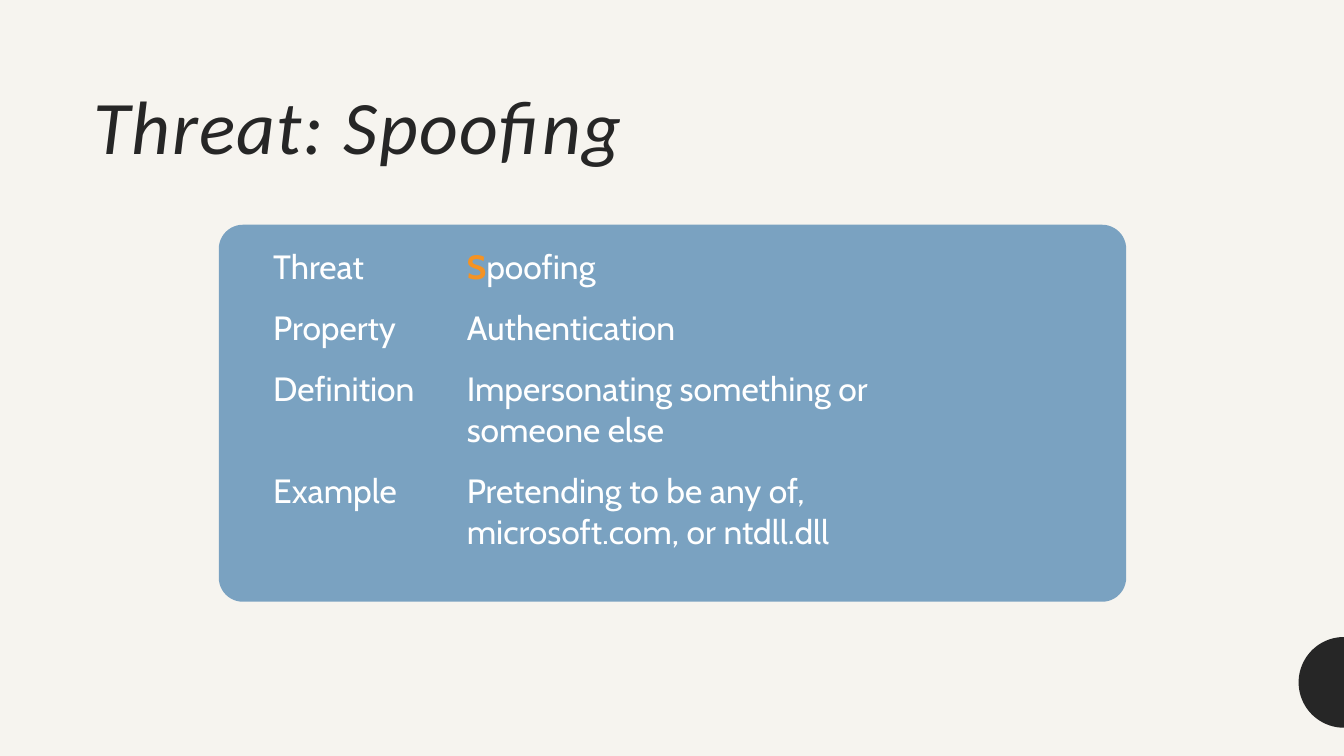
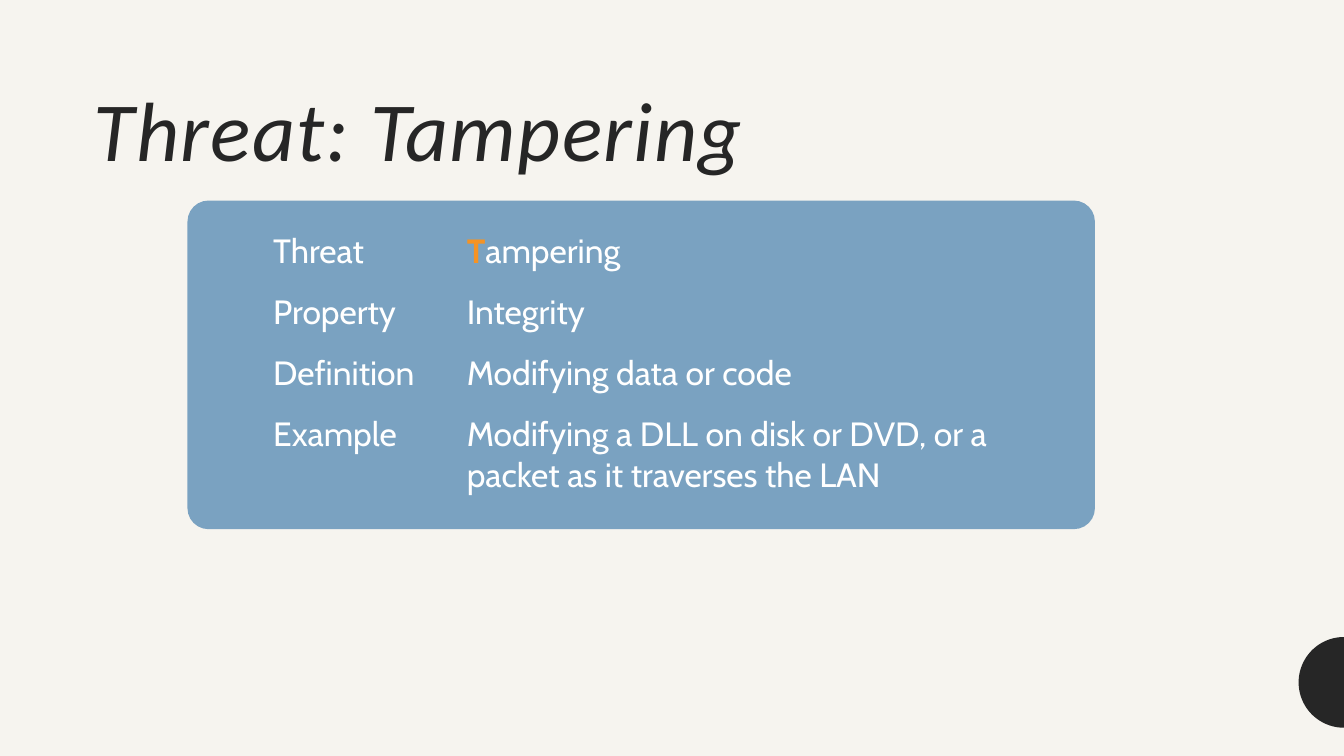
import math
from dataclasses import dataclass

from lxml import etree
from pptx import Presentation
from pptx.dml.color import RGBColor
from pptx.enum.shapes import MSO_SHAPE
from pptx.enum.text import MSO_ANCHOR, MSO_AUTO_SIZE, PP_ALIGN
from pptx.oxml.ns import qn
from pptx.util import Inches, Pt

ROUNDED = MSO_SHAPE.ROUNDED_RECTANGLE
TOP = MSO_ANCHOR.TOP
LEFT = PP_ALIGN.LEFT
NO_AUTOFIT = MSO_AUTO_SIZE.NONE
PLAIN_TABLE_STYLE = "{2D5ABB26-0587-4C30-8999-92F81FD0307C}"


@dataclass(frozen=True)
class Theme:
    paper: RGBColor = RGBColor(0xF6, 0xF4, 0xEF)
    ink: RGBColor = RGBColor(0x26, 0x26, 0x26)
    panel: RGBColor = RGBColor(0x00, 0x51, 0x94)
    panel_opacity: int = 50
    panel_text: RGBColor = RGBColor(0xFF, 0xFF, 0xFF)
    initial: RGBColor = RGBColor(0xF5, 0x93, 0x24)
    title_font: str = "Calibri"
    body_font: str = "Cabin"
    title_tracking: int = 100
    body_size: int = 24


THEME = Theme()
SLIDE_SIZE = (13.33, 7.5)
TITLE_CORNER = (0.83, 0.83)
TABLE_LEFT = 2.61
LABEL_WIDTH = 1.92
CELL_MARGIN = 0.1
PANEL_SIZE_RATIO = 0.064
DISC_CENTRE_Y, DISC_RADIUS, DISC_STEPS = 6.77, 0.45, 48
LABELS = ("Threat", "Property", "Definition", "Example")

THREATS = [
    {
        "answers": ("Spoofing", "Authentication",
                    "Impersonating something or someone else",
                    "Pretending to be any of, microsoft.com, or ntdll.dll"),
        "title_size": 54,
        "title_box": (8.76, 0.93),
        "panel": (2.17, 2.23, 9, 3.74),
        "table_top": 2.35,
        "answer_width": 5.52,
        "rows": (0.44, 0.44, 0.79, 1.03),
    },
    {
        "answers": ("Tampering", "Integrity", "Modifying data or code",
                    "Modifying a DLL on disk or DVD, or a packet as it traverses the LAN"),
        "title_size": 60,
        "title_box": (7.56, 1.84),
        "panel": (1.86, 1.99, 9, 3.26),
        "table_top": 2.19,
        "answer_width": 5.57,
        "rows": (0.43, 0.43, 0.43, 1.06),
    },
]


def add_run(paragraph, text, font, size, color, bold=False, italic=False):
    run = paragraph.add_run()
    run.text = text
    run.font.name = font
    run.font.size = Pt(size)
    run.font.color.rgb = color
    run.font.bold = bold
    run.font.italic = italic
    return run


def set_fill(shape, color):
    shape.shadow.inherit = False
    shape.fill.solid()
    shape.fill.fore_color.rgb = color
    shape.line.fill.background()


def decorate_master(master, slide):
    """Set the background and draw the half disc, then move it to the master."""
    master.background.fill.solid()
    master.background.fill.fore_color.rgb = THEME.paper
    edge = SLIDE_SIZE[0]
    arc = [(Inches(edge - DISC_RADIUS * math.sin(angle)),
            Inches(DISC_CENTRE_Y - DISC_RADIUS * math.cos(angle)))
           for angle in (math.pi * step / DISC_STEPS for step in range(DISC_STEPS + 1))]
    outline = slide.shapes.build_freeform(*arc[0])
    outline.add_line_segments(arc[1:], close=True)
    disc = outline.convert_to_shape()
    set_fill(disc, THEME.ink)
    master.shapes.element.append(disc.element)


def write_title(slide, threat):
    title = slide.shapes.title
    title.left, title.top = map(Inches, TITLE_CORNER)
    title.width, title.height = map(Inches, threat["title_box"])
    frame = title.text_frame
    frame.word_wrap = True
    frame.auto_size = NO_AUTOFIT
    frame.vertical_anchor = TOP
    heading = frame.paragraphs[0]
    heading.alignment = LEFT
    heading.line_spacing = 0.9
    run = add_run(heading, f"Threat: {threat['answers'][0]}", THEME.title_font,
                  threat["title_size"], THEME.ink, italic=True)
    run.font._element.set("spc", str(THEME.title_tracking))


def add_panel(slide, threat):
    panel = slide.shapes.add_shape(ROUNDED, *map(Inches, threat["panel"]))
    panel.adjustments[0] = PANEL_SIZE_RATIO
    set_fill(panel, THEME.panel)
    color = panel.element.spPr.find(qn("a:solidFill"))[0]
    etree.SubElement(color, qn("a:alpha")).set("val", str(THEME.panel_opacity * 1000))


def fill_cell(cell, pieces):
    """Write (text, color, bold) pieces into a cell with no fill of its own."""
    cell.fill.background()
    cell.vertical_anchor = TOP
    cell.margin_left = cell.margin_right = Inches(CELL_MARGIN)
    cell.margin_top = cell.margin_bottom = Inches(CELL_MARGIN)
    for text, color, bold in pieces:
        add_run(cell.text_frame.paragraphs[0], text, THEME.body_font,
                THEME.body_size, color, bold)


def add_threat_table(slide, threat):
    widths = (LABEL_WIDTH, threat["answer_width"])
    frame = slide.shapes.add_table(
        len(LABELS), len(widths), Inches(TABLE_LEFT), Inches(threat["table_top"]),
        Inches(sum(widths)), Inches(sum(threat["rows"])))
    frame.element.xpath(".//a:tableStyleId")[0].text = PLAIN_TABLE_STYLE
    table = frame.table
    table.first_row = table.horz_banding = False
    for column, width in zip(table.columns, widths):
        column.width = Inches(width)
    for index, (label, answer) in enumerate(zip(LABELS, threat["answers"])):
        table.rows[index].height = Inches(threat["rows"][index])
        pieces = [(answer, THEME.panel_text, False)]
        if index == 0:
            pieces = [(answer[0], THEME.initial, True),
                      (answer[1:], THEME.panel_text, False)]
        fill_cell(table.cell(index, 0), [(label, THEME.panel_text, False)])
        fill_cell(table.cell(index, 1), pieces)


def main():
    deck = Presentation()
    deck.slide_width, deck.slide_height = map(Inches, SLIDE_SIZE)
    title_only = deck.slide_layouts.get_by_name("Title Only")
    for threat in THREATS:
        slide = deck.slides.add_slide(title_only)
        write_title(slide, threat)
        add_panel(slide, threat)
        add_threat_table(slide, threat)
    decorate_master(deck.slide_master, deck.slides[0])
    deck.save("out.pptx")


if __name__ == "__main__":
    main()
